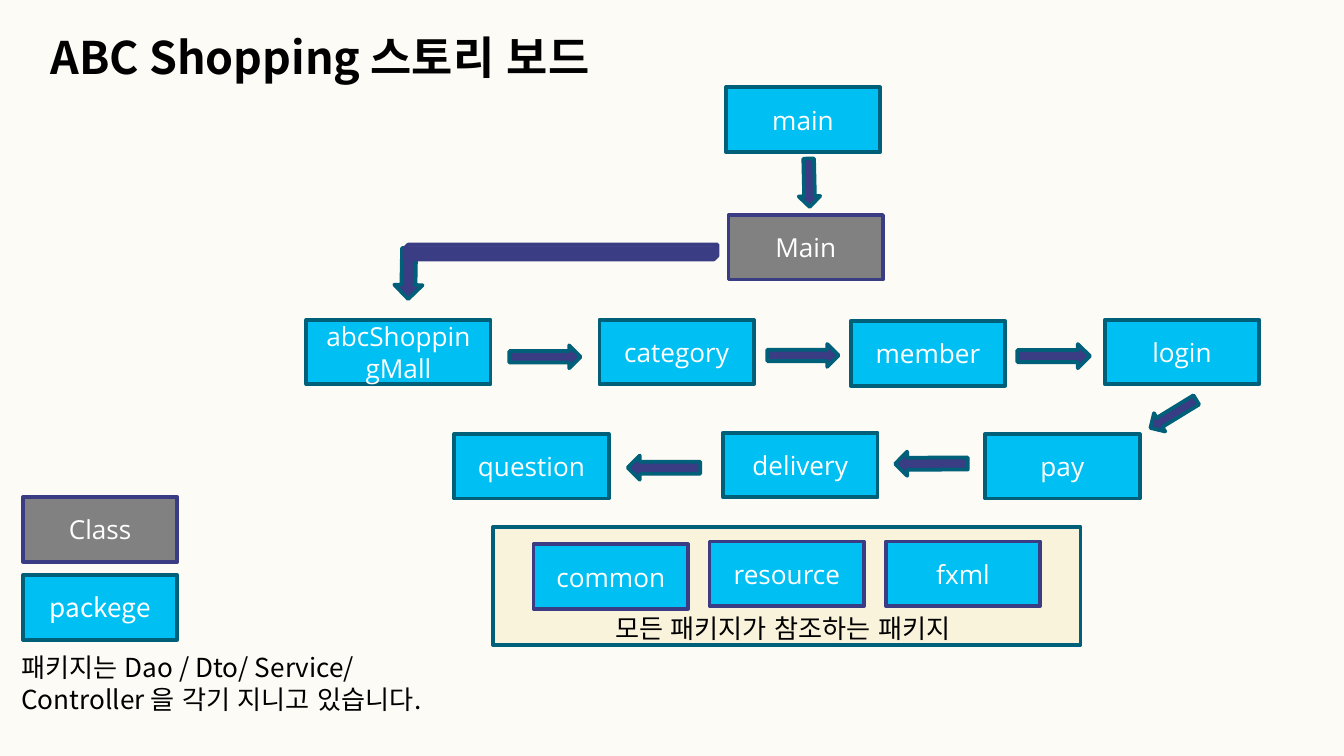
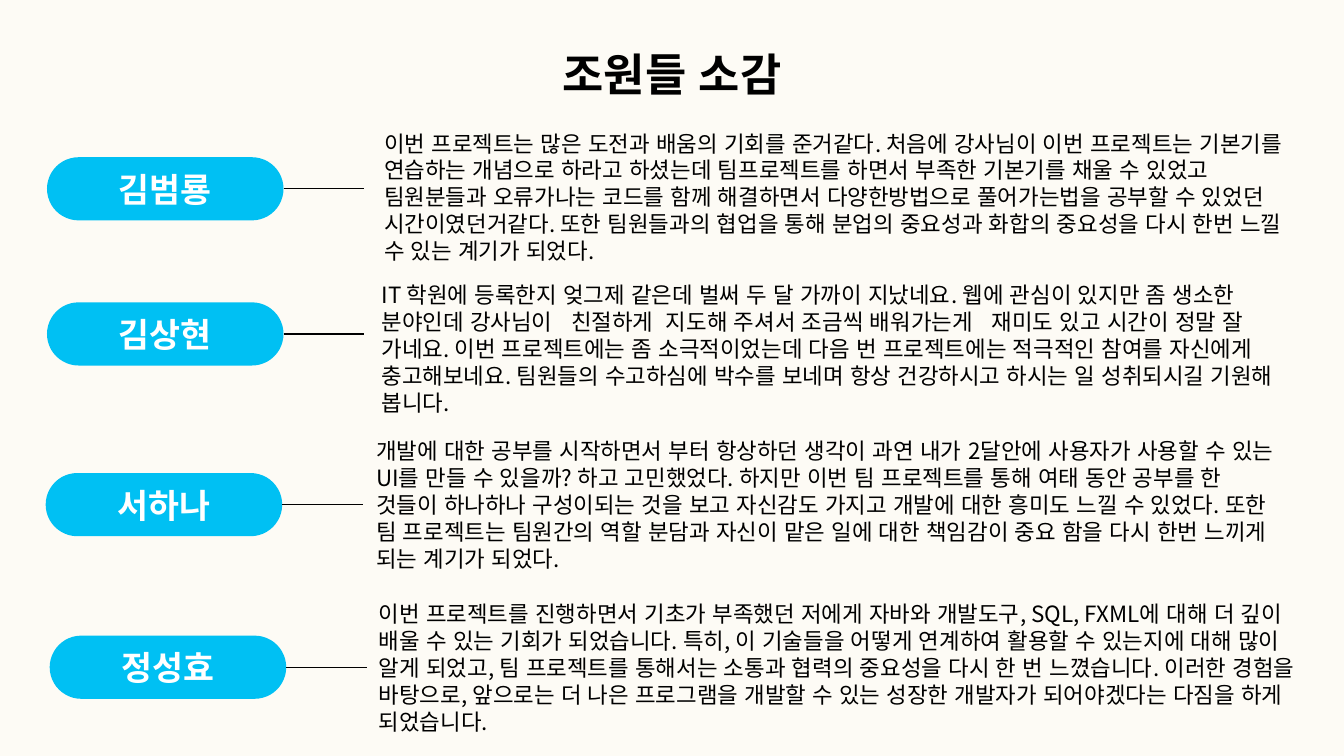
from lxml import etree
from pptx import Presentation
from pptx import util as u
from pptx.dml.color import RGBColor
from pptx.enum import lang, shapes, text
from pptx.oxml import ns

COLORS = {
    "paper": "FDFBF4", "cream": "FAF3DB", "sky": "00C0F3", "teal": "005F79",
    "indigo": "3A3C84", "gray": "818181", "black": "000000", "white": "FFFFFF",
}
KOREAN, LATIN = "Noto Sans CJK KR", "Open Sans"
SHAPE = shapes.MSO_SHAPE
MIDDLE, TOP = text.MSO_ANCHOR.MIDDLE, text.MSO_ANCHOR.TOP
CENTER, LEFT = text.PP_ALIGN.CENTER, text.PP_ALIGN.LEFT
GROW = text.MSO_AUTO_SIZE.SHAPE_TO_FIT_TEXT

# Text formats
TITLE = {"size": u.Pt(24), "bold": True, "name": KOREAN}
NODE = {"size": u.Pt(14), "name": LATIN}
NOTE = {"size": u.Pt(14), "name": KOREAN}
NAME = {"size": u.Pt(18), "bold": True, "name": KOREAN}
COMMENT = {"size": u.Pt(12), "name": KOREAN}


def add_box(slide, kind, frame, fill, line=None, rotation=0):
    shape = slide.shapes.add_shape(kind, *[u.Inches(value) for value in frame])
    shape.shadow.inherit = False
    shape.rotation = rotation
    shape.fill.solid()
    shape.fill.fore_color.rgb = RGBColor.from_string(COLORS[fill])
    if line:
        shape.line.color.rgb = RGBColor.from_string(COLORS[line])
        shape.line.width = u.Pt(2)
    else:
        shape.line.fill.background()
    return shape


def write(shape, words, font, color="black", align=LEFT, anchor=TOP, inset=0.1):
    frame = shape.text_frame
    settings = {
        "word_wrap": True, "vertical_anchor": anchor,
        "margin_left": u.Inches(0.1), "margin_right": u.Inches(0.1),
        "margin_top": u.Inches(inset), "margin_bottom": u.Inches(inset),
    }
    for key, value in settings.items():
        setattr(frame, key, value)
    paragraph = frame.paragraphs[0]
    paragraph.alignment = align
    run = paragraph.add_run()
    run.text = words
    for key, value in font.items():
        setattr(run.font, key, value)
    run.font.language_id = lang.MSO_LANGUAGE_ID.KOREAN
    run.font.color.rgb = RGBColor.from_string(COLORS[color])
    east_asian = etree.SubElement(run.font._element, ns.qn("a:ea"))
    east_asian.set("typeface", font["name"])


presentation = Presentation()
presentation.slide_width = u.Inches(10)
presentation.slide_height = presentation.slide_width * 9 // 16

# Both slides: background and title
slides = []
for title, frame in [
    ("ABC Shopping 스토리 보드", (0, 0.12, 4.76, 0.63)),
    ("조원들 소감", (0.5, 0.25, 9, 0.63)),
]:
    slide = presentation.slides.add_slide(presentation.slide_layouts[6])
    slide.background.fill.solid()
    slide.background.fill.fore_color.rgb = RGBColor.from_string(COLORS["paper"])
    paper = next(slide._element.iter(ns.qn("a:srgbClr")))
    etree.SubElement(paper, ns.qn("a:alpha")).set("val", "83000")
    box = slide.shapes.add_textbox(*[u.Inches(value) for value in frame])
    write(box, title, TITLE, align=CENTER)
    slides.append(slide)
storyboard, reviews = slides

# Storyboard: panel behind the shared packages
add_box(storyboard, SHAPE.RECTANGLE, (3.67, 3.92, 4.37, 0.88), "cream", "teal")

# Storyboard: packages and classes
NODE_WIDTH, NODE_HEIGHT = 1.15, 0.48
PACKAGE, SHARED, CLASS = ("sky", "teal"), ("sky", "indigo"), ("gray", "indigo")
for label, left, top, width, style, font in [
    ("main", 5.4, 0.65, NODE_WIDTH, PACKAGE, NODE),
    ("Main", 5.42, 1.6, NODE_WIDTH, CLASS, NODE),
    ("abcShoppingMall", 2.28, 2.38, 1.37, PACKAGE, NODE),
    ("category", 4.46, 2.38, NODE_WIDTH, PACKAGE, NODE),
    ("member", 6.33, 2.39, NODE_WIDTH, PACKAGE, NODE),
    ("login", 8.22, 2.38, NODE_WIDTH, PACKAGE, NODE),
    ("pay", 7.33, 3.23, NODE_WIDTH, PACKAGE, NODE),
    ("delivery", 5.38, 3.22, NODE_WIDTH, PACKAGE, NODE),
    ("question", 3.38, 3.23, NODE_WIDTH, PACKAGE, NODE),
    ("common", 3.97, 4.05, NODE_WIDTH, SHARED, NODE),
    ("resource", 5.28, 4.03, NODE_WIDTH, SHARED, NODE),
    ("fxml", 6.59, 4.03, NODE_WIDTH, SHARED, NODE),
    ("Class", 0.17, 3.7, NODE_WIDTH, CLASS, NODE),
    ("packege", 0.17, 4.28, NODE_WIDTH, PACKAGE, NOTE),
]:
    node = add_box(storyboard, SHAPE.RECTANGLE, (left, top, width, NODE_HEIGHT), *style)
    write(node, label, font, "white", CENTER, MIDDLE, 0.05)

# Storyboard: block arrows in the order of the flow
for *frame, rotation in [
    (5.84, 1.28, 0.36, 0.16, 88.7),
    (2.85, 1.93, 0.38, 0.21, 91.1),
    (3.79, 2.57, 0.53, 0.17, 0),
    (5.71, 2.56, 0.53, 0.17, 0),
    (7.57, 2.56, 0.54, 0.18, 0),
    (8.53, 3, 0.4, 0.16, 148.5),
    (6.66, 3.36, 0.54, 0.18, 179.7),
    (4.67, 3.39, 0.54, 0.18, 180.1),
]:
    add_box(storyboard, SHAPE.RIGHT_ARROW, frame, "indigo", "teal", rotation)
add_box(storyboard, SHAPE.CUBE, (3.01, 1.82, 2.33, 0.11), "indigo", "indigo")

# Storyboard: notes
for words, frame in [
    ("패키지는 Dao / Dto/ Service/ Controller 을 각기 지니고 있습니다.", (0.06, 4.8, 3.36, 0.79)),
    ("모든 패키지가 참조하는 패키지", (4.48, 4.51, 3, 0.32)),
]:
    box = storyboard.shapes.add_textbox(*[u.Inches(value) for value in frame])
    write(box, words, NOTE, inset=0.05)
    box.text_frame.auto_size = GROW

# Reviews: name pill, connecting line and comment for each member
PILL_WIDTH, PILL_HEIGHT, LINE_LENGTH = 1.76, 0.47, 0.6
for name, left, top, comment_frame, comment in [
    ("김범룡", 0.35, 1.17, (2.76, 0.94, 7.08, 1.05),
     "이번 프로젝트는 많은 도전과 배움의 기회를 준거같다. 처음에 강사님이 이번 프로젝트는 "
     "기본기를 연습하는 개념으로 하라고 하셨는데 팀프로젝트를 하면서 부족한 기본기를 채울 수 "
     "있었고 팀원분들과 오류가나는 코드를 함께 해결하면서 다양한방법으로 풀어가는법을 공부할 수 "
     "있었던 시간이였던거같다. 또한 팀원들과의 협업을 통해 분업의 중요성과 화합의 중요성을 다시 "
     "한번 느낄 수 있는 계기가 되었다."),
    ("김상현", 0.35, 2.25, (2.74, 2.07, 7.08, 1.05),
     "IT 학원에 등록한지 엊그제 같은데 벌써 두 달 가까이 지났네요. 웹에 관심이 있지만 좀 생소한 "
     "분야인데 강사님이   친절하게  지도해 주셔서 조금씩 배워가는게   재미도 있고 시간이 정말 잘 "
     "가네요. 이번 프로젝트에는 좀 소극적이었는데 다음 번 프로젝트에는 적극적인 참여를 자신에게 "
     "충고해보네요. 팀원들의 수고하심에 박수를 보네며 항상 건강하시고 하시는 일 성취되시길 기원해 "
     "봅니다."),
    ("서하나", 0.34, 3.52, (2.7, 3.43, 6.94, 0.65),
     "개발에 대한 공부를 시작하면서 부터 항상하던 생각이 과연 내가 2달안에 사용자가 사용할 수 "
     "있는 UI를 만들 수 있을까? 하고 고민했었다. 하지만 이번 팀 프로젝트를 통해 여태 동안 공부를 "
     "한 것들이 하나하나 구성이되는 것을 보고 자신감도 가지고 개발에 대한 흥미도 느낄 수 있었다. "
     "또한 팀 프로젝트는 팀원간의 역할 분담과 자신이 맡은 일에 대한 책임감이 중요 함을 다시 한번 "
     "느끼게 되는 계기가 되었다."),
    ("정성효", 0.37, 4.73, (2.72, 4.64, 7.08, 0.65),
     "이번 프로젝트를 진행하면서 기초가 부족했던 저에게 자바와 개발도구, SQL, FXML에 대해 더 깊이 "
     "배울 수 있는 기회가 되었습니다. 특히, 이 기술들을 어떻게 연계하여 활용할 수 있는지에 대해 "
     "많이 알게 되었고, 팀 프로젝트를 통해서는 소통과 협력의 중요성을 다시 한 번 느꼈습니다. 이러한 "
     "경험을 바탕으로, 앞으로는 더 나은 프로그램을 개발할 수 있는 성장한 개발자가 되어야겠다는 "
     "다짐을 하게 되었습니다."),
]:
    pill = add_box(reviews, SHAPE.ROUNDED_RECTANGLE, (left, top, PILL_WIDTH, PILL_HEIGHT), "sky")
    pill.adjustments[0] = 0.5
    write(pill, name, NAME, "white", CENTER, MIDDLE)

    start = pill.left + pill.width
    level = pill.top + pill.height // 2
    line = reviews.shapes.add_connector(
        shapes.MSO_CONNECTOR.STRAIGHT, start, level, start + u.Inches(LINE_LENGTH), level)
    line.begin_connect(pill, 3)
    line.line.color.rgb = RGBColor.from_string(COLORS["black"])
    line.line.width = u.Pt(0.75)
    etree.SubElement(line._element.spPr, ns.qn("a:effectLst"))

    box = reviews.shapes.add_textbox(*[u.Inches(value) for value in comment_frame])
    write(box, comment, COMMENT, anchor=MIDDLE)

presentation.save("out.pptx")
